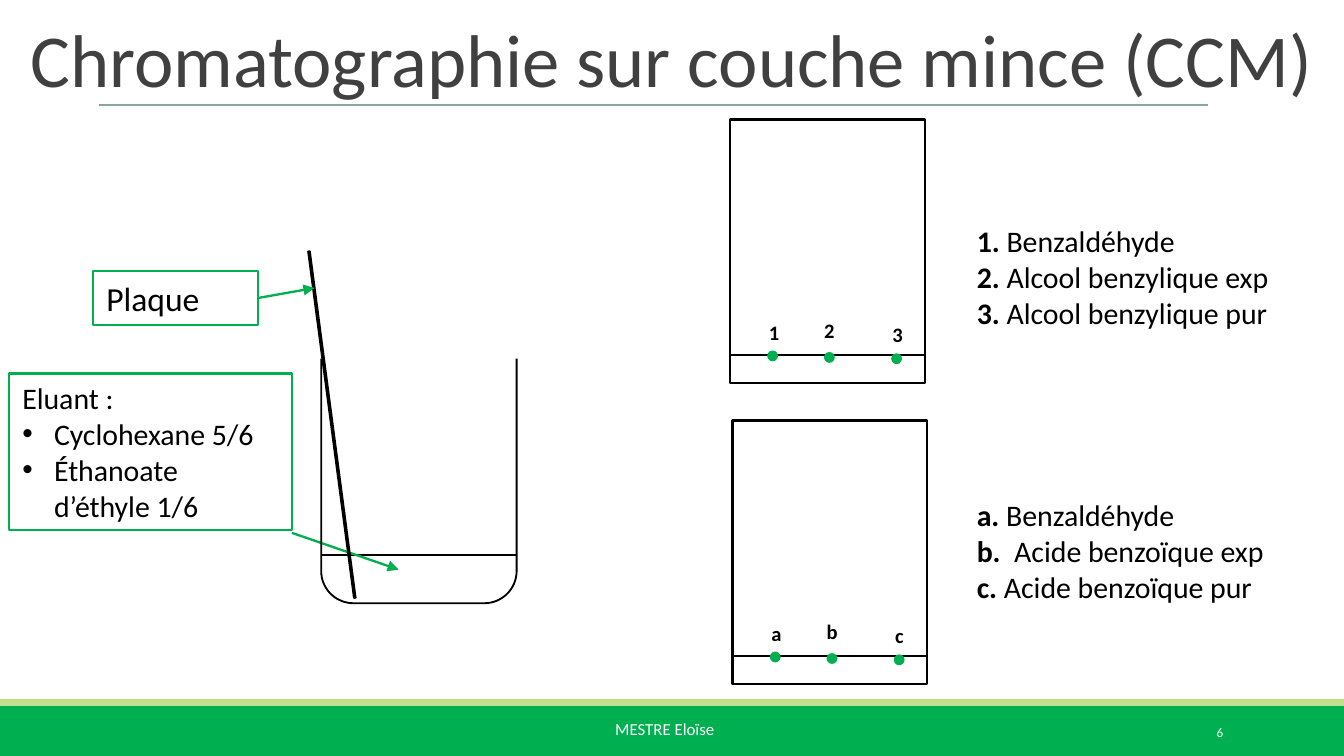
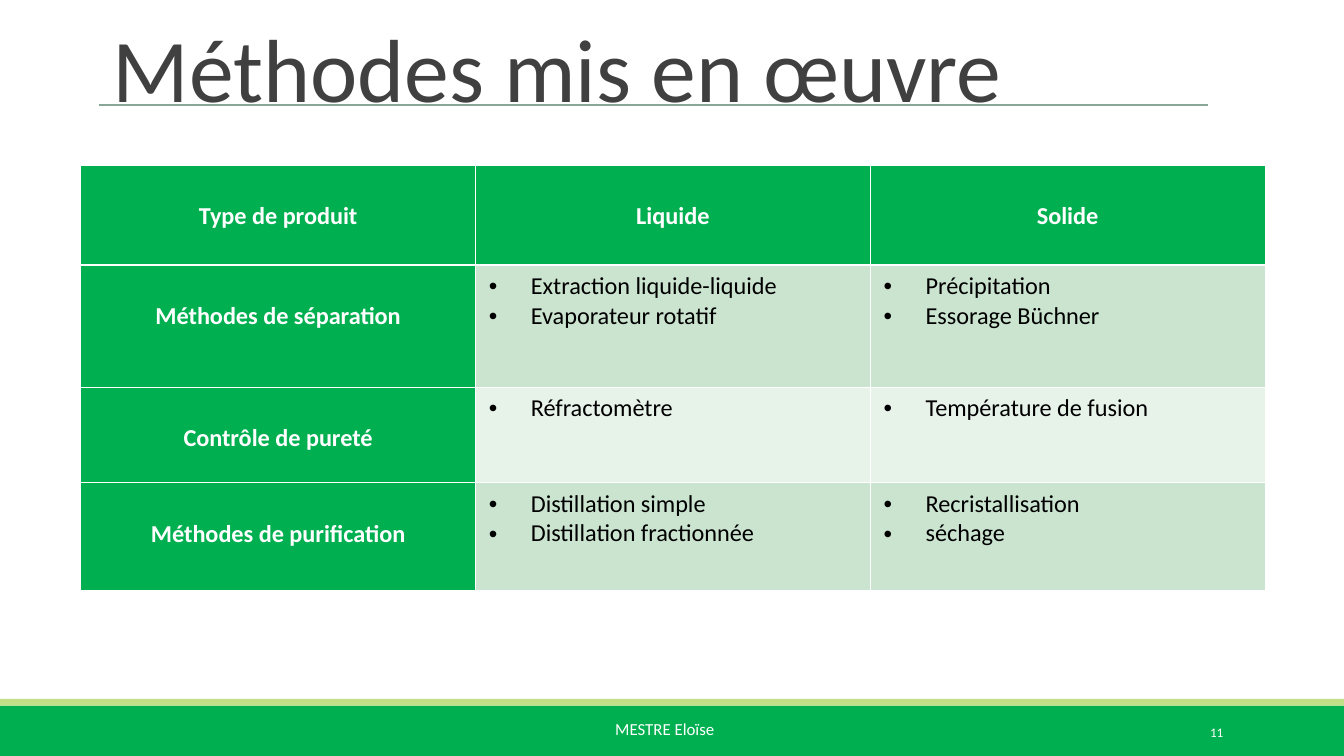
import math
from dataclasses import dataclass

from lxml import etree
from pptx import Presentation
from pptx import util as u
from pptx.dml import color as c
from pptx.enum import shapes, text
from pptx.oxml import ns

Pt = u.Pt
rgb = c.RGBColor.from_string


@dataclass(frozen=True)
class Theme:
    font: str = "Calibri"
    green: str = "00B050"
    lime: str = "C1DF87"
    rule: str = "87A896"
    heading: str = "404040"
    black: str = "000000"
    white: str = "FFFFFF"
    grey: str = "A6A6A6"
    band_dark: str = "CBE4D0"
    band_light: str = "E7F2E9"
    callout: int = 18
    body: int = 16
    cell: int = 13
    spot: int = 11
    footer: int = 9
    number: int = 7


theme = Theme()
RECT = shapes.MSO_SHAPE.RECTANGLE
STRAIGHT = shapes.MSO_CONNECTOR.STRAIGHT
LEFT, CENTER, RIGHT = text.PP_ALIGN.LEFT, text.PP_ALIGN.CENTER, text.PP_ALIGN.RIGHT
TOP, MIDDLE, BOTTOM = text.MSO_ANCHOR.TOP, text.MSO_ANCHOR.MIDDLE, text.MSO_ANCHOR.BOTTOM


def paint(item, line=None, weight=1, fill=None, arrow=False):
    if line:
        item.line.color.rgb = rgb(line)
        item.line.width = Pt(weight)
    else:
        item.line.fill.background()
    properties = item.element.spPr
    if arrow:
        etree.SubElement(properties.find(ns.qn("a:ln")), ns.qn("a:tailEnd"), type="triangle")
    if not hasattr(item, "fill"):
        etree.SubElement(properties, ns.qn("a:effectLst"))
        return
    item.shadow.inherit = False
    if fill:
        item.fill.solid()
        item.fill.fore_color.rgb = rgb(fill)
    else:
        item.fill.background()


def write(frame, paragraphs, size, color, bold=(False,), align=LEFT, anchor=TOP,
          indent=0, bullets_from=0):
    frame.word_wrap = True
    frame.vertical_anchor = anchor
    for index, runs in enumerate(paragraphs):
        paragraph = frame.add_paragraph() if index else frame.paragraphs[0]
        paragraph.alignment = align
        if indent and index >= bullets_from:
            properties = paragraph._p.get_or_add_pPr()
            properties.set("marL", str(Pt(indent)))
            properties.set("indent", str(-Pt(indent)))
            bullet_color = etree.SubElement(properties, ns.qn("a:buClr"))
            etree.SubElement(bullet_color, ns.qn("a:srgbClr"), val=theme.black)
            etree.SubElement(properties, ns.qn("a:buFont"), typeface="Arial")
            etree.SubElement(properties, ns.qn("a:buChar"), char="•")
        for words, heavy in zip(runs, bold):
            run = paragraph.add_run()
            run.text = words
            run.font.name = theme.font
            run.font.size = Pt(size)
            run.font.bold = heavy
            run.font.color.rgb = rgb(color)


deck = Presentation()
deck.slide_width, deck.slide_height = Pt(720), Pt(405)

headings = [
    ("Chromatographie sur couche mince (CCM)", 40, (9.4, 2.2, 710.6, 54.7), "6"),
    ("Méthodes mis en œuvre", 48, (53.3, 11.5, 594, 54.7), "11"),
]
for heading, size, place, number in headings:
    slide = deck.slides.add_slide(deck.slide_layouts[6])
    for top, height, fill in [(378, 27, theme.green), (374.4, 3.6, theme.lime)]:
        band = slide.shapes.add_shape(RECT, 0, Pt(top), Pt(720), Pt(height))
        paint(band, fill=fill)
    rule = slide.shapes.add_connector(STRAIGHT, Pt(53.3), Pt(56.2), Pt(647.3), Pt(56.2))
    paint(rule, theme.rule)
    author = slide.shapes.add_textbox(Pt(322.5), Pt(381.6), Pt(75), Pt(28.8)).text_frame
    write(author, [("MESTRE Eloïse",)], theme.footer, theme.white)
    author.word_wrap = False
    page = slide.shapes.add_textbox(Pt(584.6), Pt(381.6), Pt(77.8), Pt(21.6)).text_frame
    write(page, [(number,)], theme.number, theme.white, align=RIGHT, anchor=MIDDLE)
    title = slide.shapes.add_textbox(*map(Pt, place)).text_frame
    title.margin_bottom = Pt(1.7)
    write(title, [(heading,)], size, theme.heading, anchor=BOTTOM)
    title.paragraphs[0].line_spacing = 0.85

ccm, methods = deck.slides

setup = ccm.shapes.add_group_shape().shapes
surface = setup.add_connector(STRAIGHT, Pt(172.1), Pt(297.4), Pt(277), Pt(297.4))
paint(surface, theme.black)

eluent = setup.add_shape(RECT, Pt(4.9), Pt(200), Pt(151.7), Pt(84))
paint(eluent, theme.green, 1.25, theme.white)
write(eluent.text_frame, [("Eluant :",), ("Cyclohexane 5/6",), ("Éthanoate d’éthyle 1/6",)],
      theme.body, theme.black, indent=17, bullets_from=1)
eluent_arrow = setup.add_connector(STRAIGHT, Pt(156.4), Pt(285.5), Pt(213.6), Pt(305.2))
paint(eluent_arrow, theme.green, 1.25, arrow=True)

beaker_left, beaker_right, beaker_top, beaker_bottom, radius = 172.1, 276.8, 192.2, 323.2, 17.3
wall = [(beaker_left, beaker_top)]
for center, start in [(beaker_left + radius, 180), (beaker_right - radius, 90)]:
    for step in range(0, 91, 6):
        angle = math.radians(start - step)
        wall.append((center + radius * math.cos(angle),
                     beaker_bottom - radius + radius * math.sin(angle)))
wall.append((beaker_right, beaker_top))
wall = [(Pt(x), Pt(y)) for x, y in wall]
outline = setup.build_freeform(*wall[0])
outline.add_line_segments(wall[1:], close=False)
paint(outline.convert_to_shape(), theme.black)

strip = setup.add_shape(shapes.MSO_SHAPE.PARALLELOGRAM, Pt(175.7), Pt(133.9), Pt(4.3), Pt(187.2))
strip.adjustments[0] = 0.78
strip.rotation = 353.5
strip.element.spPr.find(ns.qn("a:xfrm")).set("flipH", "1")
paint(strip, theme.black, fill=theme.grey)

strip_label = setup.add_shape(RECT, Pt(49.9), Pt(145.2), Pt(88.2), Pt(29))
paint(strip_label, theme.green, 1.25, theme.white)
write(strip_label.text_frame, [("Plaque",)], theme.callout, theme.black)
strip_arrow = setup.add_connector(STRAIGHT, Pt(138.1), Pt(159.8), Pt(168.5), Pt(154.3))
strip_arrow.begin_connect(strip_label, 3)
paint(strip_arrow, theme.green, 1.25, arrow=True)

spot_offsets = [(20, 123.8), (50.4, 124.6), (86.4, 125.3)]
mark_offsets = [(13.8, 103.7), (43.4, 103), (80, 105.1)]
for left, top, marks in [(391, 64, "123"), (392.4, 225.3, "abc")]:
    plate = ccm.shapes.add_group_shape().shapes
    sheet = plate.add_shape(RECT, Pt(left), Pt(top), Pt(104.4), Pt(141.1))
    paint(sheet, theme.black, 1.25, theme.white)
    start_line = plate.add_connector(STRAIGHT, Pt(left), Pt(top + 126),
                                     Pt(left + 104.4), Pt(top + 126))
    paint(start_line, theme.black)
    for x, y in spot_offsets:
        spot = plate.add_shape(shapes.MSO_SHAPE.OVAL, Pt(left + x), Pt(top + y), Pt(5.8), Pt(5.8))
        paint(spot, fill=theme.green)
    for mark, (x, y) in zip(marks, mark_offsets):
        mark_box = plate.add_textbox(Pt(left + x), Pt(top + y), Pt(18), Pt(20.9))
        write(mark_box.text_frame, [(mark,)], theme.spot, theme.black, bold=(True,))

legends = [
    (115.9, [("1.", " Benzaldéhyde"), ("2. ", "Alcool benzylique exp"),
             ("3. ", "Alcool benzylique pur")]),
    (262.8, [("a. ", "Benzaldéhyde"), ("b. ", " Acide benzoïque exp"),
             ("c. ", "Acide benzoïque pur")]),
]
for top, samples in legends:
    legend = ccm.shapes.add_textbox(Pt(516.2), Pt(top), Pt(179.3), Pt(64.8))
    write(legend.text_frame, samples, theme.body, theme.black, bold=(True, False))

rows = [
    ("Type de produit", ["Liquide"], ["Solide"]),
    ("Méthodes de séparation", ["Extraction liquide-liquide", "Evaporateur rotatif"],
     ["Précipitation", "Essorage Büchner"]),
    ("Contrôle de pureté", ["Réfractomètre"], ["Température de fusion"]),
    ("Méthodes de purification", ["Distillation simple", "Distillation fractionnée"],
     ["Recristallisation", "séchage"]),
]
row_heights = [53.3, 65.3, 51.3, 57.5]
grid = methods.shapes.add_table(4, 3, Pt(43.2), Pt(88.7), Pt(634.5), Pt(sum(row_heights))).table
grid.horz_banding = False
for column in grid.columns:
    column.width = Pt(211.5)
for r, (entries, height) in enumerate(zip(rows, row_heights)):
    grid.rows[r].height = Pt(height)
    for col, entry in enumerate(entries):
        cell = grid.cell(r, col)
        for side in "LRTB":
            thick = (r, side) in [(0, "B"), (1, "T")]
            border = etree.SubElement(cell._tc.get_or_add_tcPr(), ns.qn(f"a:ln{side}"),
                                      w=str(Pt(1.47 if thick else 0.45)))
            paint_fill = etree.SubElement(border, ns.qn("a:solidFill"))
            etree.SubElement(paint_fill, ns.qn("a:srgbClr"), val=theme.white)
        cell.fill.solid()
        if r == 0 or col == 0:
            cell.fill.fore_color.rgb = rgb(theme.green)
            cell.margin_top = Pt(19.5)
            label = entry if col == 0 else entry[0]
            write(cell.text_frame, [(label,)], theme.cell, theme.white, bold=(True,), align=CENTER)
        else:
            cell.fill.fore_color.rgb = rgb(theme.band_dark if r % 2 else theme.band_light)
            write(cell.text_frame, [(method,) for method in entry], theme.cell, theme.black,
                  indent=22.5)

deck.save("out.pptx")
